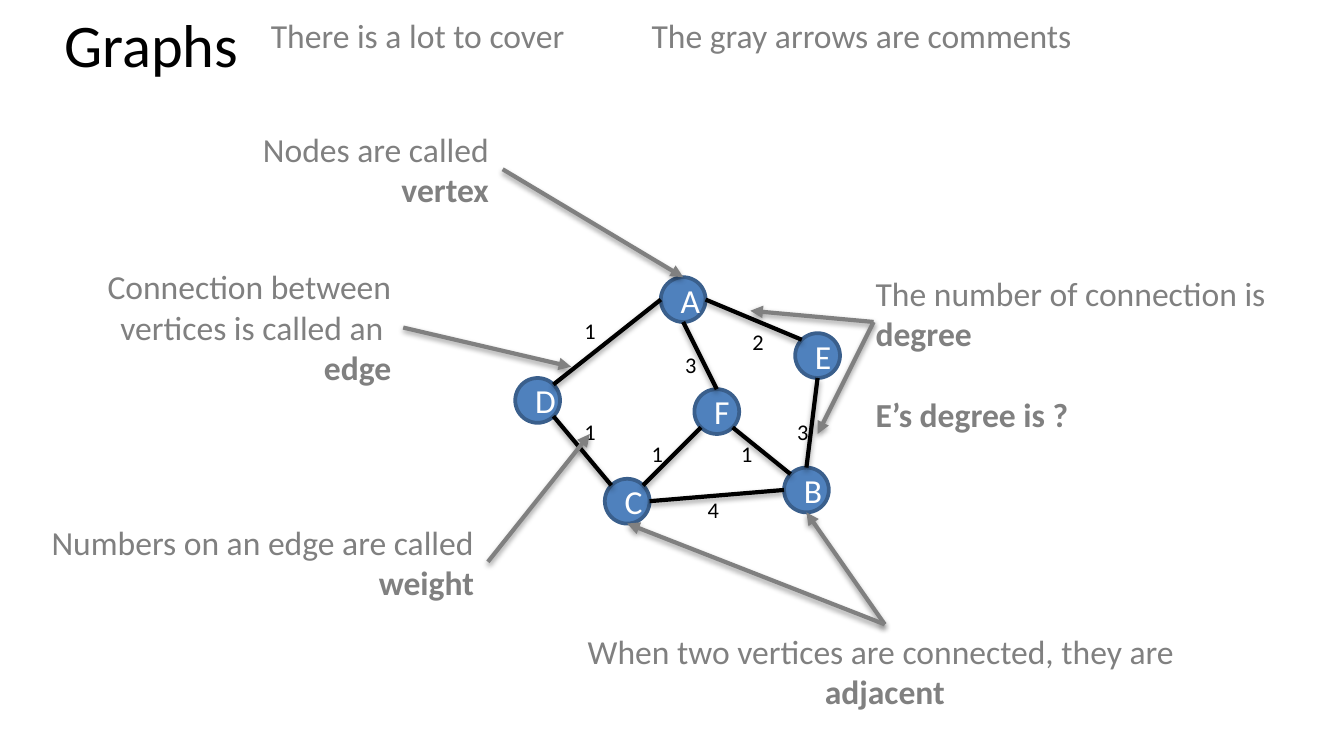
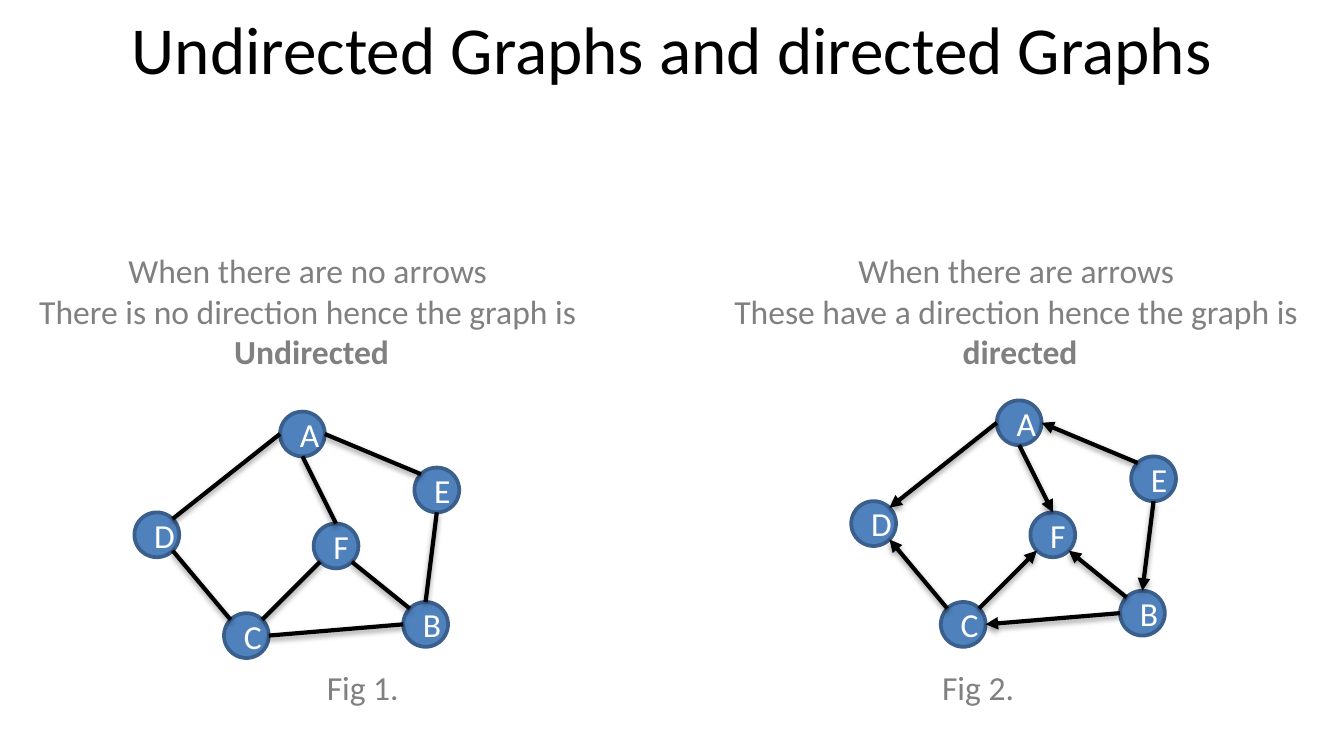
from dataclasses import dataclass
from math import cos, radians, sin

from lxml.etree import SubElement
from pptx import Presentation
from pptx.dml.color import RGBColor as RGB
from pptx.enum.shapes import MSO_CONNECTOR as CXN, MSO_SHAPE as SHAPE
from pptx.enum.text import MSO_ANCHOR as ANCHOR, MSO_AUTO_SIZE as AUTO, PP_ALIGN as ALIGN
from pptx.oxml.ns import qn
from pptx.util import Pt


@dataclass(frozen=True)
class Theme:
    """Colours, font and type sizes of the deck."""
    font: str = "Calibri"
    black: RGB = RGB(0, 0, 0)
    white: RGB = RGB(255, 255, 255)
    gray: RGB = RGB(0x80, 0x80, 0x80)
    node: RGB = RGB(0x4F, 0x81, 0xBD)
    rim: RGB = RGB(0x3A, 0x5F, 0x8C)
    title: float = 36
    small_title: float = 32.4
    body: float = 18
    weight: float = 12
    stroke: float = 2.25
    rim_width: float = 2


T = Theme()
NODE = 24
NODES = {"A": (78, 0), "C": (48, 108), "B": (144, 102),
         "D": (0, 54), "E": (150, 30), "F": (96, 60)}
TOP, TOP_LEFT, LEFT, LOW_LEFT, BOTTOM, LOW_RIGHT, RIGHT, TOP_RIGHT = range(0, 360, 45)
EDGES = [
    ("A", LEFT, "D", TOP_RIGHT, "1", (30, 18)),
    ("C", TOP_LEFT, "D", LOW_RIGHT, "1", (30, 72)),
    ("C", TOP_RIGHT, "F", LOW_LEFT, "1", (66, 84)),
    ("B", TOP_LEFT, "F", LOW_RIGHT, "1", (114, 84)),
    ("E", BOTTOM, "B", TOP, "3", (144, 72)),
    ("E", TOP_LEFT, "A", RIGHT, "2", (120, 24)),
    ("B", LEFT, "C", RIGHT, "4", (96, 114)),
    ("A", BOTTOM, "F", TOP, "3", (84, 36)),
]


def apply(obj, **values):
    """Set several attributes of an object."""
    for name, value in values.items():
        setattr(obj, name, value)


def style(font, size, color, bold=None):
    """Format a font from the theme."""
    apply(font, name=T.font, size=Pt(size), bold=bold)
    font.color.rgb = color


def shift(box, point):
    """Move a point into the frame of a box."""
    return box[0] + point[0], box[1] + point[1]


def site(name, angle):
    """Return the point on a node's rim, counterclockwise from its top."""
    x, y = NODES[name]
    half, a = NODE / 2, radians(angle)
    return x + half - half * sin(a), y + half - half * cos(a)


def title(s, box, text, size, **para):
    """Move and fill the title placeholder."""
    sp = s.shapes.title
    left, top, width, height = map(Pt, box)
    apply(sp, left=left, top=top, width=width, height=height)
    tf = sp.text_frame
    apply(tf, auto_size=AUTO.NONE, vertical_anchor=ANCHOR.MIDDLE)
    p = tf.paragraphs[0]
    apply(p, alignment=ALIGN.CENTER, **para)
    r = p.add_run()
    r.text = text
    style(r.font, size, T.black)


def note(s, box, lines, align=ALIGN.LEFT, wrap=True, size=T.body, color=T.gray):
    """Add a text box of (text, bold, space before) lines."""
    tf = s.shapes.add_textbox(*map(Pt, box)).text_frame
    apply(tf, word_wrap=wrap, auto_size=AUTO.SHAPE_TO_FIT_TEXT)
    for i, (text, bold, gap) in enumerate(lines):
        p = tf.add_paragraph() if i else tf.paragraphs[0]
        apply(p, alignment=align, space_before=Pt(gap))
        r = p.add_run()
        r.text = text
        style(r.font, size, color, bold)


def plain(*texts):
    """Make regular lines."""
    return [(text, None, 0) for text in texts]


def bold(text, gap=0):
    """Make one bold line."""
    return [(text, True, gap)]


def line(s, start, end, color, arrow=None):
    """Draw a soft-shadowed straight line with an optional arrowhead."""
    c = s.shapes.add_connector(CXN.STRAIGHT, *map(Pt, start + end))
    c.line.width = Pt(T.stroke)
    c.line.color.rgb = color
    if arrow:
        SubElement(c.line._get_or_add_ln(), qn(f"a:{arrow}"), type="triangle")
    effects = SubElement(c._element.spPr, qn("a:effectLst"))
    shadow = SubElement(effects, qn("a:outerShdw"), blurRad=str(Pt(3.1)),
                        dist=str(Pt(1.6)), dir="5400000", rotWithShape="0")
    tint = SubElement(shadow, qn("a:srgbClr"), val=str(T.black))
    SubElement(tint, qn("a:alpha"), val="38000")


def graph(s, box, arrow=None, weights=False):
    """Draw the six-vertex graph at the corner of a box."""
    for name, at in NODES.items():
        sp = s.shapes.add_shape(SHAPE.OVAL, *map(Pt, shift(box, at) + (NODE, NODE)))
        sp.shadow.inherit = False
        sp.fill.solid()
        sp.fill.fore_color.rgb = T.node
        sp.line.width = Pt(T.rim_width)
        sp.line.color.rgb = T.rim
        sp.text_frame.vertical_anchor = ANCHOR.MIDDLE
        p = sp.text_frame.paragraphs[0]
        p.alignment = ALIGN.CENTER
        r = p.add_run()
        r.text = name
        style(r.font, T.body, T.white)
    for a, a_site, b, b_site, _, _ in EDGES:
        line(s, shift(box, site(a, a_site)), shift(box, site(b, b_site)), T.black, arrow)
    if weights:
        for *_, weight, at in EDGES:
            note(s, shift(box, at) + (21, 21.6), plain(weight), wrap=False,
                 size=T.weight, color=T.black)


def comments(s, box):
    """Place the gray comments and their arrows around a graph box."""
    notes = [
        ((-144, -83, 137, 51), plain("Nodes are called") + bold(" vertex"), ALIGN.RIGHT, False),
        ((-233.5, -9.5, 174.2, 73),
         plain("Connection between vertices is called an ") + bold("edge"), ALIGN.RIGHT, True),
        ((24, 186, 348, 51),
         plain("When two vertices are connected, they are ") + bold("adjacent"),
         ALIGN.CENTER, True),
        ((186, -6, 240, 94.5),
         plain("The number of connection is") + bold("degree") + bold("E’s degree is ?", 22),
         ALIGN.LEFT, True),
        ((-291, 127.5, 276, 51),
         plain("Numbers on an edge are called") + bold(" weight"), ALIGN.RIGHT, True),
    ]
    for at, lines, align, wrap in notes:
        note(s, shift(box, at) + at[2:], lines, align, wrap)
    arrows = [
        ((-6.7, -57.8), [site("A", TOP)]),
        ((-60, 27), [(30, 48)]),
        ((198, 186), [site("B", BOTTOM), site("C", BOTTOM)]),
        ((192, 24), [(126, 18), (162, 84)]),
        ((-14.6, 152.5), [(40, 84)]),
    ]
    for source, tips in arrows:
        for tip in tips:
            line(s, shift(box, tip), shift(box, source), T.gray, "headEnd")


def terms_slide(prs, band, box):
    """Build the slide that names the parts of a graph."""
    s = prs.slides.add_slide(prs.slide_layouts[5])
    left, top, _, height = band
    title(s, (left, top, 150, height), "Graphs", T.small_title, line_spacing=0.9)
    for x, text in ((132, "There is a lot to cover"), (336, "The gray arrows are comments")):
        note(s, (left + x, top, 242, 29), plain(text))
    graph(s, box, weights=True)
    comments(s, box)


def figure(s, box, lines, term, text_width, graph_at, caption, caption_x, arrow=None):
    """Place a description, a graph and a caption in one box."""
    note(s, box + (text_width, 73), plain(*lines) + bold(term), ALIGN.CENTER, False)
    graph(s, shift(box, graph_at), arrow)
    note(s, shift(box, (caption_x, 223)) + (72, 29), plain(caption), ALIGN.CENTER)


def directions_slide(prs, band):
    """Build the slide that compares undirected and directed graphs."""
    s = prs.slides.add_slide(prs.slide_layouts[5])
    title(s, band, "Undirected Graphs and directed Graphs", T.title)
    figure(s, (12, 130.5),
           ("When there are no arrows ", "There is no direction hence the graph is "),
           "Undirected", 310, (60, 90), "Fig 1.", 146.4)
    figure(s, (384, 130.5),
           ("When there are arrows ", "These have a direction hence the graph is "),
           "directed", 325, (72, 84), "Fig 2.", 104, "tailEnd")


def main():
    """Build and save the deck."""
    prs = Presentation()
    apply(prs, slide_width=Pt(720), slide_height=Pt(405))
    band = (6, 4.5, 708, 42)
    terms_slide(prs, band, (276, 148.5))
    directions_slide(prs, band)
    prs.save("out.pptx")


main()
